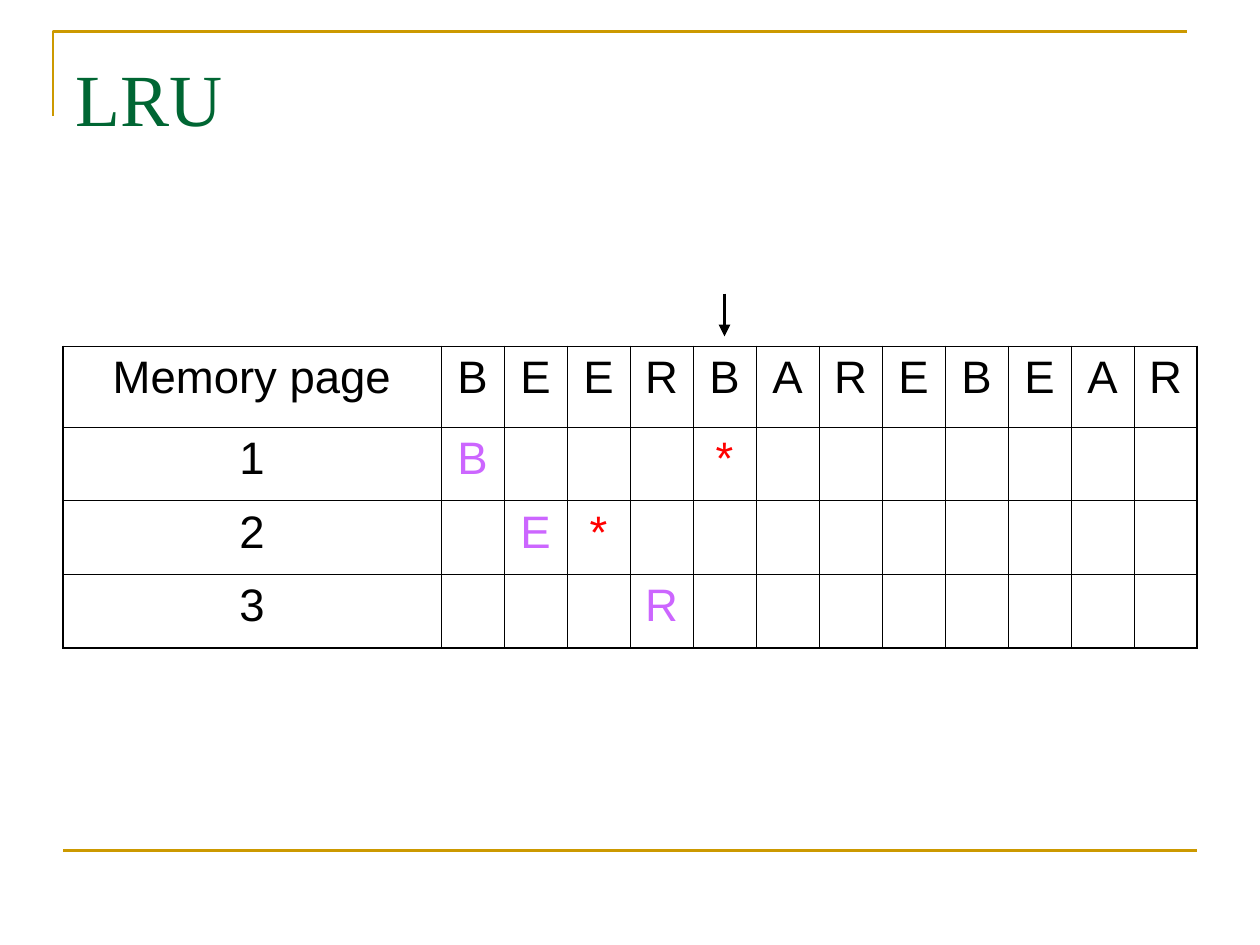
from dataclasses import dataclass

from lxml.etree import SubElement
from pptx import Presentation
from pptx.dml.color import RGBColor as Rgb
from pptx.enum.shapes import MSO_CONNECTOR as Link
from pptx.enum.text import MSO_ANCHOR as Anchor, PP_ALIGN as Align
from pptx.oxml import parse_xml
from pptx.oxml.ns import nsdecls, qn
from pptx.util import Inches, Pt


@dataclass(frozen=True)
class Theme:
    gold: str = "CC9900"
    green: str = "006633"
    black: str = "000000"
    load: str = "CC66FF"
    hit: str = "FF0000"
    serif: str = "Times New Roman"
    sans: str = "Arial"
    title: int = 42
    body: int = 26
    rule: float = 1.5
    arrow: float = 2.25
    edge: float = 1.08
    inner: float = 0.45


def unit(n):
    """Length of n steps on the half-inch grid, 20 columns by 15 rows."""
    return Inches(n / 2)


class Sheet:
    def __init__(self, deck, theme):
        self.theme = theme
        self.slide = deck.slides.add_slide(deck.slide_layouts[6])
        self.shapes = self.slide.shapes

    def style(self, para, font, size, color):
        for run in para.runs:
            run.font.name = font
            run.font.size = Pt(size)
            run.font.color.rgb = Rgb.from_string(color)

    def stroke(self, shape, color, width):
        shape.line.color.rgb = Rgb.from_string(color)
        shape.line.width = Pt(width)

    def corner(self, points):
        first, *rest = [(unit(x), unit(y)) for x, y in points]
        pen = self.shapes.build_freeform(*first)
        pen.add_line_segments(rest, close=False)
        shape = pen.convert_to_shape()
        shape.shadow.inherit = False
        shape.fill.background()
        self.stroke(shape, self.theme.gold, self.theme.rule)

    def line(self, start, end, color, width, arrow=False):
        ends = [unit(n) for n in (*start, *end)]
        line = self.shapes.add_connector(Link.STRAIGHT, *ends)
        self.stroke(line, color, width)
        if arrow:
            SubElement(line.line._get_or_add_ln(), qn("a:tailEnd"), type="triangle")
        SubElement(line._element.spPr, qn("a:effectLst"))

    def title(self, text, col, row, wide, high):
        box = self.shapes.add_textbox(unit(col), unit(row), unit(wide), unit(high))
        frame = box.text_frame
        frame.word_wrap = True
        frame.vertical_anchor = Anchor.TOP
        frame.margin_top = Inches(0.12)
        frame.text = text
        theme = self.theme
        self.style(frame.paragraphs[0], theme.serif, theme.title, theme.green)

    def border(self, cell, sides):
        """Draw the cell's sides; each flag in L, R, T, B order marks an outer edge."""
        props = cell._tc.get_or_add_tcPr()
        for spot, (side, outer) in enumerate(zip("LRTB", sides)):
            width = Pt(self.theme.edge if outer else self.theme.inner)
            props.insert(spot, parse_xml(
                f'<a:ln{side} {nsdecls("a")} w="{width}"><a:solidFill>'
                f'<a:srgbClr val="{self.theme.black}"/></a:solidFill></a:ln{side}>'))

    def table(self, rows, tints, col, row, wides, highs):
        size = len(highs), len(wides)
        grid = self.shapes.add_table(
            *size, unit(col), unit(row), unit(sum(wides)), unit(sum(highs))).table
        grid.first_row = grid.horz_banding = False
        for part, wide in zip(grid.columns, wides):
            part.width = unit(wide)
        for part, high in zip(grid.rows, highs):
            part.height = unit(high)
        theme = self.theme
        for r in range(size[0]):
            for c in range(size[1]):
                cell = grid.cell(r, c)
                cell.fill.background()
                self.border(cell, (c == 0, c == size[1] - 1, r == 0, r == size[0] - 1))
                text = rows[r].get(c)
                if text:
                    cell.text = text
                    para = cell.text_frame.paragraphs[0]
                    para.alignment = Align.CENTER
                    color = tints.get((r, c), theme.black)
                    self.style(para, theme.sans, theme.body, color)


def main():
    theme = Theme()
    deck = Presentation()
    deck.slide_width, deck.slide_height = unit(20), unit(15)
    sheet = Sheet(deck, theme)

    sheet.corner([(0.84, 1.84), (0.84, 0.5), (18.84, 0.5)])
    sheet.line((1, 13.5), (19, 13.5), theme.gold, theme.rule)
    sheet.title("LRU", 1, 0.6, 18, 2.5)

    refs = "BEERBAREBEAR"
    loads = {(1, 1): "B", (2, 2): "E", (3, 4): "R"}
    hits = {(1, 5): "*", (2, 3): "*"}
    rows = [dict(enumerate(["Memory page", *refs]))]
    rows += [{0: str(n)} for n in (1, 2, 3)]
    tints = {}
    for marks, color in ((loads, theme.load), (hits, theme.hit)):
        for (r, c), text in marks.items():
            rows[r][c] = text
            tints[r, c] = color
    sheet.table(rows, tints, 1, 5.5, [6] + [1] * len(refs), [1.28] + [1.17] * 3)

    now = 11.5
    sheet.line((now, 4.66), (now, 5.34), theme.black, theme.arrow, arrow=True)
    deck.save("out.pptx")


if __name__ == "__main__":
    main()
